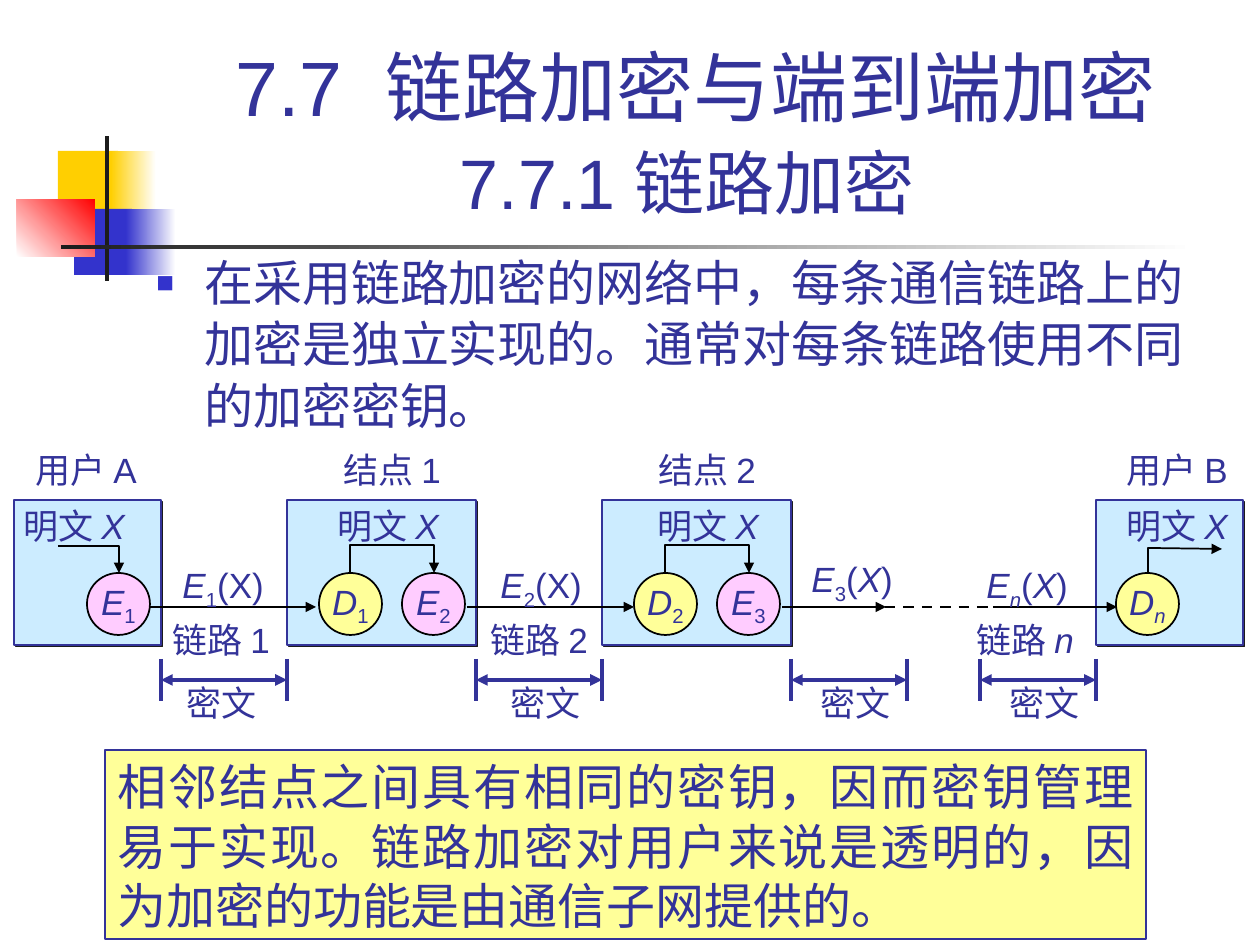
import lxml.etree
import pptx
import pptx.dml.color
import pptx.enum.dml
import pptx.enum.shapes
import pptx.enum.text
import pptx.oxml.ns
import pptx.util

COLORS = {
    "text": "333399", "black": "000000", "dark": "1C1C1C", "white": "FFFFFF",
    "gold": "FFCF01", "blue": "3333CC", "red": "FF0000",
    "node": "CCECFF", "decrypt": "FFFF99", "encrypt": "FFCCFF",
}
CJK_FONT = "Noto Sans CJK SC"
RECTANGLE = pptx.enum.shapes.MSO_SHAPE.RECTANGLE
OVAL = pptx.enum.shapes.MSO_SHAPE.OVAL
ALIGN = pptx.enum.text.PP_ALIGN
ANCHOR = pptx.enum.text.MSO_ANCHOR
NODE_TOP, NODE_HEIGHT = 500, 145
CIRCLE_TOP, CIRCLE_WIDTH, CIRCLE_HEIGHT = 573, 63, 62
LINK_Y = 607


def px(value):
    """Turn px into EMU."""
    return pptx.util.Emu(round(value * 914400 / 126))


def rgb(name):
    """Look up a named colour."""
    return pptx.dml.color.RGBColor.from_string(COLORS[name])


def sub_element(parent, tag, **attributes):
    """Append a DrawingML element."""
    element = lxml.etree.SubElement(parent, pptx.oxml.ns.qn(tag))
    for key, value in attributes.items():
        element.set(key, str(value))
    return element


def add_bullet(paragraph, indent):
    """Give a paragraph a square bullet and a hanging indent."""
    properties = paragraph._p.get_or_add_pPr()
    properties.set("marL", str(px(indent)))
    properties.set("indent", str(-px(indent)))
    color = sub_element(properties, "a:buClr")
    sub_element(color, "a:srgbClr", val=COLORS["blue"])
    sub_element(properties, "a:buSzPct", val=60000)
    sub_element(properties, "a:buFont", typeface="Arial")
    sub_element(properties, "a:buChar", char="■")


def write_text(shape, paragraphs, size=20, font="Arial", align=ALIGN.LEFT,
               anchor=ANCHOR.TOP, wrap=False, spacings=(None,), bullet=None):
    """Write paragraphs of (text, style, size) runs; style i is italic, _ is subscript."""
    frame = shape.text_frame
    frame.word_wrap = wrap
    frame.vertical_anchor = anchor
    for index, (runs, spacing) in enumerate(zip(paragraphs, spacings)):
        paragraph = frame.add_paragraph() if index else frame.paragraphs[0]
        if bullet:
            add_bullet(paragraph, bullet)
        paragraph.alignment = align
        paragraph.line_spacing = spacing
        for text, style, *own_size in runs:
            if text == "\n":
                paragraph.add_line_break()
                continue
            run = paragraph.add_run()
            run.text = text
            run.font.size = pptx.util.Pt(own_size[0] if own_size else size)
            run.font.italic = "i" in style
            run.font.color.rgb = rgb("text")
            run.font.name = font
            properties = run._r.get_or_add_rPr()
            sub_element(properties, "a:ea", typeface=CJK_FONT)
            if "_" in style:
                properties.set("baseline", "-25000")


def add_text(slide, box, paragraphs, **text_format):
    """Add a text box."""
    shape = slide.shapes.add_textbox(*map(px, box))
    write_text(shape, paragraphs, **text_format)


def add_label(slide, left, top, width, *runs):
    """Add a one-line diagram label."""
    add_text(slide, (left, top, width, 55), [runs], spacings=[pptx.util.Pt(24)])


def add_box(slide, kind, box, fill, line=None, width=1):
    """Add a filled preset shape."""
    shape = slide.shapes.add_shape(kind, *map(px, box))
    shape.shadow.inherit = False
    shape.fill.solid()
    shape.fill.fore_color.rgb = rgb(fill)
    if line:
        shape.line.color.rgb = rgb(line)
        shape.line.width = pptx.util.Pt(width)
    else:
        shape.line.fill.background()
    return shape


def add_gradient(slide, box, start, end, angle=0):
    """Add a rectangle with a two-colour gradient."""
    shape = add_box(slide, RECTANGLE, box, start)
    shape.fill.gradient()
    shape.fill.gradient_angle = angle
    for stop, color in zip(shape.fill.gradient_stops, (start, end)):
        stop.color.rgb = rgb(color)


def style_line(shape, color, width, ends=()):
    """Colour a line and put arrowheads on the given ends."""
    shape.line.color.rgb = rgb(color)
    shape.line.width = pptx.util.Pt(width)
    for end in ends:
        sub_element(shape.line._get_or_add_ln(), f"a:{end}", type="triangle")


def add_line(slide, start, end, color="black", width=1.5, ends=(), dashed=False):
    """Add a straight connector."""
    line = slide.shapes.add_connector(
        pptx.enum.shapes.MSO_CONNECTOR.STRAIGHT, *map(px, (*start, *end)))
    if dashed:
        line.line.dash_style = pptx.enum.dml.MSO_LINE.DASH
    style_line(line, color, width, ends)
    sub_element(line._element.spPr, "a:effectLst")


def add_route(slide, points):
    """Add an angled arrow through the points."""
    points = [tuple(map(px, point)) for point in points]
    builder = slide.shapes.build_freeform(*points[0], scale=1.0)
    builder.add_line_segments(points[1:], close=False)
    shape = builder.convert_to_shape()
    shape.shadow.inherit = False
    shape.fill.background()
    style_line(shape, "black", 1, ["tailEnd"])


def add_circle(slide, left, letter, number, number_style="_"):
    """Add an encryption or decryption circle."""
    fill = "decrypt" if letter == "D" else "encrypt"
    box = (left, CIRCLE_TOP, CIRCLE_WIDTH, CIRCLE_HEIGHT)
    circle = add_box(slide, OVAL, box, fill, "black")
    write_text(circle, [[(letter, "i"), (number, number_style)]],
               align=ALIGN.CENTER, anchor=ANCHOR.MIDDLE)


def add_node(slide, left, width, circles, route, plain_left, name, name_left):
    """Add a network node with its circles, inner arrow and labels."""
    node = add_box(slide, RECTANGLE, (left, NODE_TOP, width, NODE_HEIGHT), "node", "text")
    effects = node._element.spPr.find(pptx.oxml.ns.qn("a:effectLst"))
    shadow = sub_element(effects, "a:outerShdw", dist=17780, dir=2700000, algn="ctr", rotWithShape=0)
    sub_element(shadow, "a:srgbClr", val=COLORS["dark"])
    for circle in circles:
        add_circle(slide, *circle)
    add_route(slide, route)
    add_label(slide, plain_left, 498, 135, ("明文 ", ""), ("X", "i"))
    add_label(slide, name_left, 442, 135, (name, ""))


def add_decoration(slide):
    """Add the coloured squares and rules beside the title."""
    add_box(slide, RECTANGLE, (58, 151, 60, 66), "gold")
    add_gradient(slide, (111, 151, 45, 66), "gold", "white")
    add_box(slide, RECTANGLE, (74, 209, 58, 66), "blue")
    add_gradient(slide, (126, 209, 50, 66), "blue", "white")
    add_gradient(slide, (17, 199, 78, 58), "white", "red", 45)
    add_box(slide, RECTANGLE, (105, 136, 4, 145), "dark")
    add_gradient(slide, (61, 245, 1134, 4), "dark", "white")


def add_nodes(slide):
    """Add both users and both intermediate nodes."""
    for number, left, plain_left in ((1, 287, 325), (2, 602, 645)):
        decrypt, encrypt = left + 32, left + 115
        route = [(decrypt + 31, 573), (decrypt + 31, 545), (encrypt + 32, 545), (encrypt + 32, 573)]
        circles = [(decrypt, "D", str(number)), (encrypt, "E", str(number + 1))]
        add_node(slide, left, 189, circles, route, plain_left, f"结点 {number}", left + 44)
    add_node(slide, 1096, 147, [(1116, "D", "n", "i_")],
             [(1148, 573), (1148, 548), (1222, 549)], 1114, "用户 B", 1114)
    add_node(slide, 14, 147, [(87, "E", "1")],
             [(58, 546), (119, 546), (119, 573)], 11, "用户 A", 23)


def add_links(slide):
    """Add the link arrows, their labels and the ciphertext spans."""
    for start, end in ((150, 316), (467, 634), (782, 886), (993, 1117)):
        add_line(slide, (start, LINK_Y), (end, LINK_Y), ends=["tailEnd"])
    add_line(slide, (885, LINK_Y), (992, LINK_Y), dashed=True)
    plain, variable = [("(X)", "")], [("(", ""), ("X", "i"), (")", "")]
    for left, top, number, style, argument, named in (
            (160, 548, "1", "", plain, True), (478, 548, "2", "", plain, True),
            (789, 542, "3", "", variable, False), (964, 548, "n", "i", variable, True)):
        formula = [("E", "i"), (number, style + "_"), *argument]
        add_text(slide, (left + 10, top, 121, 60), [formula], spacings=[1.2])
        if named:
            add_label(slide, left, 612, 131, ("链路 ", ""), (number, style))
    for start, end, label_left in ((161, 287, 174), (476, 602, 498), (791, 907, 808), (980, 1096, 997)):
        add_line(slide, (start, 680), (end, 680), "text", 2.25, ["headEnd", "tailEnd"])
        for tick in (start, end):
            add_line(slide, (tick, 659), (tick, 701), "text", 2.25)
        add_label(slide, label_left, 675, 95, ("密文", ""))


def main():
    """Build and save the slide."""
    presentation = pptx.Presentation()
    presentation.slide_width, presentation.slide_height = px(1260), px(945)
    slide = presentation.slides.add_slide(presentation.slide_layouts[6])
    add_decoration(slide)
    title = [("7.7  链路加密与端到端加密", ""), ("\n", ""), ("7.7.1 链路加密", "", 40), (" ", "")]
    add_text(slide, (159, 29, 1074, 202), [title], size=44, align=ALIGN.CENTER,
             anchor=ANCHOR.BOTTOM, wrap=True, spacings=[pptx.util.Pt(53)])
    body = "在采用链路加密的网络中，每条通信链路上的加密是独立实现的。通常对每条链路使用不同的加密密钥。"
    add_text(slide, (144, 244, 1071, 218), [[(body, "")]], size=28, wrap=True,
             spacings=[pptx.util.Pt(35)], bullet=48)
    add_nodes(slide)
    add_links(slide)
    note = add_box(slide, RECTANGLE, (105, 750, 1041, 189), "decrypt", "text", 0.75)
    summary = "相邻结点之间具有相同的密钥，因而密钥管理易于实现。链路加密对用户来说是透明的，因为加密的功能是由通信子网提供的。"
    write_text(note, [[(summary, "")]], size=28, font=CJK_FONT, align=ALIGN.JUSTIFY,
               wrap=True, spacings=[pptx.util.Pt(34)])
    presentation.save("out.pptx")


if __name__ == "__main__":
    main()
